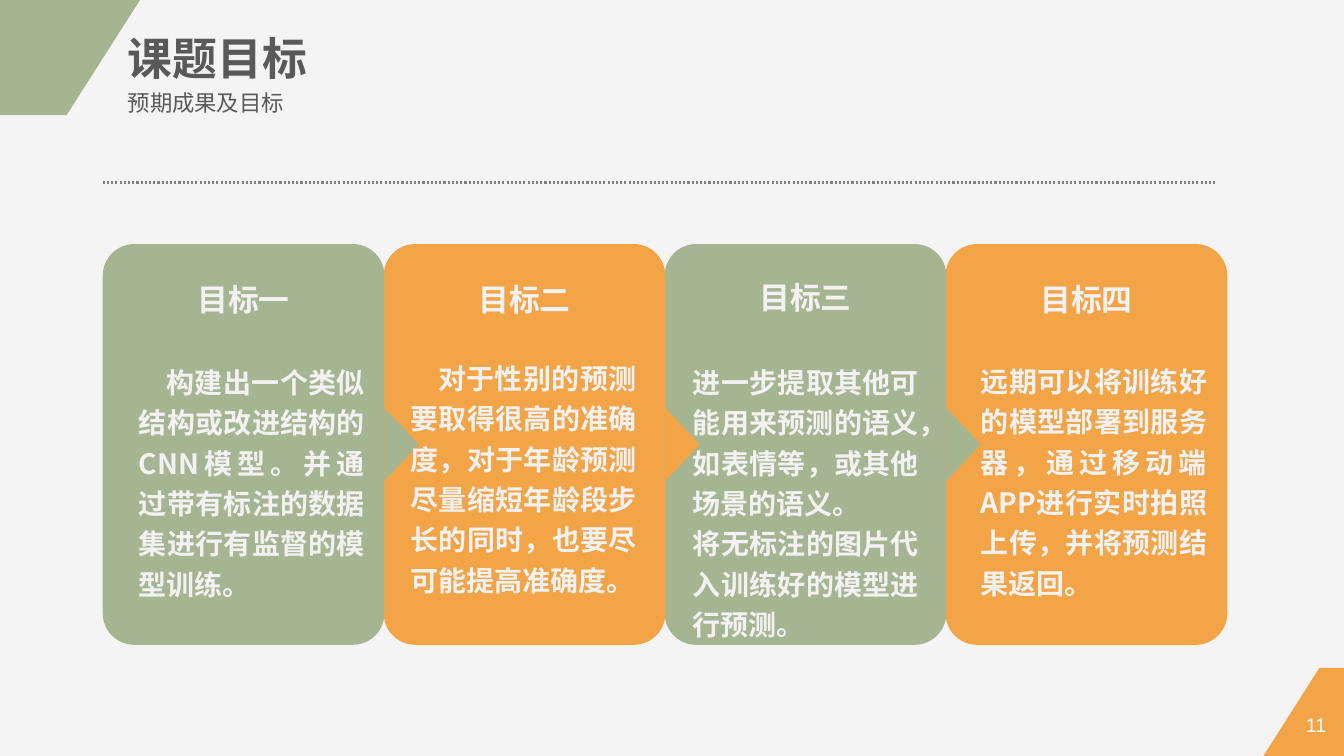
import pptx
import pptx.dml.color
import pptx.enum.dml
import pptx.enum.shapes
import pptx.enum.text
import pptx.oxml
import pptx.oxml.ns
import pptx.util

Cm = pptx.util.Cm
RGBColor = pptx.dml.color.RGBColor
ALIGN = pptx.enum.text.PP_ALIGN
SHAPE = pptx.enum.shapes.MSO_SHAPE

PAPER = RGBColor(0xF4, 0xF4, 0xF4)
GREEN = RGBColor(0xA5, 0xB5, 0x92)
ORANGE = RGBColor(0xF3, 0xA4, 0x47)
HEADING = RGBColor(0x59, 0x59, 0x59)
RULE = RGBColor(0x80, 0x80, 0x80)
CARD_TEXT = RGBColor(0xF2, 0xF2, 0xF2)
WHITE = RGBColor(0xFF, 0xFF, 0xFF)
CJK = "Noto Sans CJK SC"

PAGE_WIDTH, PAGE_HEIGHT = 33.87, 19.05
CARD_PITCH, CARD_WIDTH, CARD_HEIGHT = 7.08, 7.1, 10.1
ARROW_WIDTH, ARROW_HEIGHT = 1.83, 0.86
INDENT = 0.69

# Title, title offset from card top, body offset (x, y), first-line indent, body
GOALS = [
    ("目标一", 0.79, (0.66, 2.77), INDENT,
     "构建出一个类似结构或改进结构的CNN模型。并通过带有标注的数据集进行有监督的模型训练。"),
    ("目标二", 0.79, (0.43, 2.67), INDENT,
     "对于性别的预测要取得很高的准确度，对于年龄预测尽量缩短年龄段步长的同时，也要尽可能提高准确度。"),
    ("目标三", 0.74, (0.46, 2.77), 0,
     "进一步提取其他可能用来预测的语义，如表情等，或其他场景的语义。\n"
     "将无标注的图片代入训练好的模型进行预测。"),
    ("目标四", 0.79, (0.64, 2.74), 0,
     "远期可以将训练好的模型部署到服务器，通过移动端APP进行实时拍照上传，并将预测结果返回。"),
]


def paint(shape, color):
    shape.shadow.inherit = False
    shape.fill.solid()
    shape.fill.fore_color.rgb = color
    shape.line.fill.background()


def add_polygon(page, points, color):
    corners = [(Cm(x), Cm(y)) for x, y in points]
    builder = page.shapes.build_freeform(*corners[0])
    builder.add_line_segments(corners[1:], close=True)
    paint(builder.convert_to_shape(), color)


def add_text(page, box, text, size, color, font=CJK, bold=False,
             align=ALIGN.LEFT, wrap=True, spacing=None, indent=0):
    label = page.shapes.add_textbox(*[Cm(length) for length in box])
    frame = label.text_frame
    frame.word_wrap = wrap
    frame.text = text
    for para in frame.paragraphs:
        para.alignment = align
        para.line_spacing = spacing
        if indent:
            para._p.get_or_add_pPr().set("indent", str(Cm(indent)))
        for span in para.runs:
            span.font.size = pptx.util.Pt(size)
            span.font.bold = bold
            span.font.name = font
            span.font.color.rgb = color
            east_asian = pptx.oxml.parse_xml(
                f'<a:ea {pptx.oxml.ns.nsdecls("a")} typeface="{CJK}"/>')
            span.font._rPr.find(pptx.oxml.ns.qn("a:latin")).addnext(east_asian)


def add_header(page, left, top):
    # Corner band, headings and dotted rule
    add_polygon(page, [(0, 0), (3.53, 0), (1.68, 2.9), (0, 2.9)], GREEN)
    add_text(page, (left, top, 5.08, 1.62), "课题目标", 32, HEADING,
             font="Arial", bold=True, wrap=False)
    add_text(page, (left, top + 1.47, 6.4, 0.94), "预期成果及目标", 16, HEADING,
             font="Arial")
    rule = page.shapes.add_connector(
        pptx.enum.shapes.MSO_CONNECTOR.STRAIGHT,
        Cm(2.59), Cm(4.6), Cm(30.66), Cm(4.6))
    rule.line.color.rgb = RULE
    rule.line.width = pptx.util.Pt(1.5)
    rule.line.dash_style = pptx.enum.dml.MSO_LINE.ROUND_DOT
    rule._element.spPr.append(pptx.oxml.parse_xml(
        f'<a:effectLst {pptx.oxml.ns.nsdecls("a")}/>'))


def add_footer(page, right, bottom):
    # Corner band and page number
    add_polygon(page, [(right - 0.62, bottom - 2.22), (right, bottom - 2.22),
                       (right, bottom), (right - 2.03, bottom)], ORANGE)
    add_text(page, (right - 1.4, bottom - 1.22, 1.4, 0.79), "11", 14, WHITE,
             font="Arial", align=ALIGN.CENTER, wrap=False)


def add_card(page, left, top, color, has_arrow):
    card = page.shapes.add_shape(SHAPE.ROUNDED_RECTANGLE, Cm(left), Cm(top),
                                 Cm(CARD_WIDTH), Cm(CARD_HEIGHT))
    card.adjustments[0] = 0.112
    paint(card, color)
    if has_arrow:
        center_x = left + CARD_WIDTH + ARROW_HEIGHT / 2
        center_y = top + CARD_HEIGHT / 2
        arrow = page.shapes.add_shape(
            SHAPE.ISOSCELES_TRIANGLE,
            Cm(center_x - ARROW_WIDTH / 2), Cm(center_y - ARROW_HEIGHT / 2),
            Cm(ARROW_WIDTH), Cm(ARROW_HEIGHT))
        arrow.rotation = 90
        paint(arrow, color)


def add_goal_text(page, left, top, goal):
    title, title_drop, (body_x, body_y), indent, body = goal
    title_width = 2.87
    add_text(page, (left + (CARD_WIDTH - title_width) / 2, top + title_drop,
                    title_width, 1.19),
             title, 22, CARD_TEXT, bold=True, align=ALIGN.CENTER, wrap=False)
    add_text(page, (left + body_x, top + body_y, 6.2, 6.4), body, 20, CARD_TEXT,
             bold=True, align=ALIGN.JUSTIFY, spacing=1.2, indent=indent)


def add_goals(page, left, top):
    # Cards run right to left so each arrow overlaps its right neighbour
    last = len(GOALS) - 1
    for index in range(last, -1, -1):
        add_card(page, left + index * CARD_PITCH, top,
                 (GREEN, ORANGE)[index % 2], index < last)
    for index, goal in enumerate(GOALS):
        add_goal_text(page, left + index * CARD_PITCH, top, goal)


def main():
    deck = pptx.Presentation()
    deck.slide_width, deck.slide_height = Cm(PAGE_WIDTH), Cm(PAGE_HEIGHT)
    page = deck.slides.add_slide(deck.slide_layouts[6])
    page.background.fill.solid()
    page.background.fill.fore_color.rgb = PAPER
    add_header(page, 2.97, 0.64)
    add_goals(page, 2.59, 6.15)
    add_footer(page, PAGE_WIDTH, PAGE_HEIGHT)
    deck.save("out.pptx")


if __name__ == "__main__":
    main()
